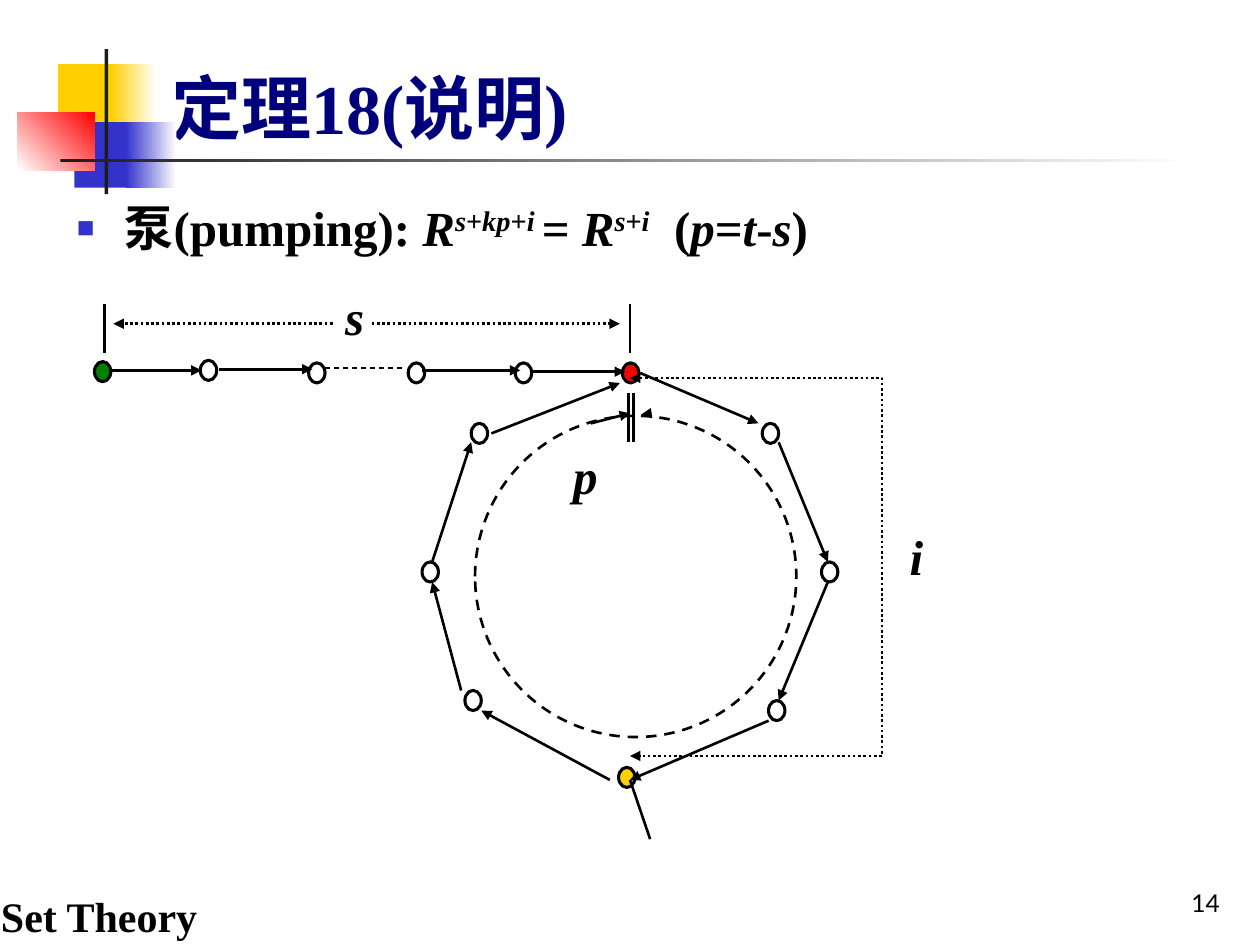
import lxml.etree
import pptx
import pptx.dml.color
import pptx.enum.dml
import pptx.enum.shapes
import pptx.enum.text
import pptx.oxml.ns
import pptx.util

Inches, Pt = pptx.util.Inches, pptx.util.Pt
MSO_SHAPE = pptx.enum.shapes.MSO_SHAPE
DASH = pptx.enum.dml.MSO_LINE
ANCHOR = pptx.enum.text.MSO_ANCHOR
ALIGN = pptx.enum.text.PP_ALIGN

COLORS = {"black": "000000", "white": "FFFFFF", "dark": "1C1C1C", "navy": "00007D",
          "blue": "3333CC", "yellow": "FFCF01", "red": "FF0000", "green": "008000"}
SERIF = "Times New Roman"
NODE_W, NODE_H = 0.13, 0.16


def rgb(name):
    return pptx.dml.color.RGBColor.from_string(COLORS[name])


def sub(parent, tag, **attrs):
    return lxml.etree.SubElement(parent, pptx.oxml.ns.qn(tag), attrs)


def style_line(sp, width, dash=None, head=False, tail=False):
    sp.line.color.rgb = rgb("black")
    sp.line.width = Pt(width)
    if dash:
        sp.line.dash_style = dash
    ln = sp._element.spPr.find(pptx.oxml.ns.qn("a:ln"))
    if head:
        sub(ln, "a:headEnd", type="triangle")
    if tail:
        sub(ln, "a:tailEnd", type="triangle")


def style_run(r, size, color="black", font=SERIF, bold=True, italic=False):
    f = r.font
    f.size, f.name, f.bold, f.italic = Pt(size), font, bold, italic
    f.color.rgb = rgb(color)


def place(sp, *box):
    sp.left, sp.top, sp.width, sp.height = map(Inches, box)


def add_block(s, box, color, end=None, angle=0):
    """Borderless rectangle, plain or fading from color to end."""
    sp = s.shapes.add_shape(MSO_SHAPE.RECTANGLE, *map(Inches, box))
    sp.shadow.inherit = False
    sp.line.fill.background()
    if end:
        sp.fill.gradient()
        sp.fill.gradient_angle = angle
        for stop, name in zip(sp.fill.gradient_stops, (color, end)):
            stop.color.rgb = rgb(name)
    else:
        sp.fill.solid()
        sp.fill.fore_color.rgb = rgb(color)


def add_ellipse(s, box, fill=None, width=1.75, dash=None):
    sp = s.shapes.add_shape(MSO_SHAPE.OVAL, *map(Inches, box))
    sp.shadow.inherit = False
    if fill:
        sp.fill.solid()
        sp.fill.fore_color.rgb = rgb(fill)
    else:
        sp.fill.background()
    style_line(sp, width, dash)


def add_line(s, x1, y1, x2, y2, width=1.5, dash=None, arrow=False):
    kind = pptx.enum.shapes.MSO_CONNECTOR.STRAIGHT
    sp = s.shapes.add_connector(kind, *map(Inches, (x1, y1, x2, y2)))
    style_line(sp, width, dash, tail=arrow)
    sub(sp._element.spPr, "a:effectLst")


def add_text(s, box, text, size, before=0, spacing=1.1, align=ALIGN.LEFT,
             anchor=ANCHOR.TOP, **font):
    tf = s.shapes.add_textbox(*map(Inches, box)).text_frame
    tf.word_wrap = True
    tf.vertical_anchor = anchor
    p = tf.paragraphs[0]
    p.text = text
    p.alignment, p.line_spacing, p.space_before = align, spacing, Pt(before)
    style_run(p.runs[0], size, **font)


def add_curve(s, points, steps=6):
    """Smooth dotted curve through the points, with an arrowhead at each end."""
    padded = [points[0], *points, points[-1]]
    outline = []
    for a, b, c, d in zip(padded, padded[1:], padded[2:], padded[3:]):
        for t in (k / steps for k in range(1, steps + 1)):
            outline.append(tuple(
                (2 * q + (r - p) * t + (2 * p - 5 * q + 4 * r - u) * t ** 2
                 + (3 * q - p - 3 * r + u) * t ** 3) / 2
                for p, q, r, u in zip(a, b, c, d)))
    builder = s.shapes.build_freeform(*points[0], scale=Inches(1))
    builder.add_line_segments(outline, close=False)
    sp = builder.convert_to_shape()
    sp.shadow.inherit = False
    sp.fill.background()
    style_line(sp, 1.5, DASH.ROUND_DOT, head=True, tail=True)


def add_decoration(s):
    add_block(s, (0.46, 0.51, 0.48, 0.52), "yellow")
    add_block(s, (0.88, 0.51, 0.36, 0.52), "yellow", "white")
    add_block(s, (0.59, 0.97, 0.46, 0.52), "blue")
    add_block(s, (1, 0.97, 0.4, 0.52), "blue", "white")
    add_block(s, (0.14, 0.89, 0.61, 0.46), "white", "red", angle=45)
    add_block(s, (0.83, 0.39, 0.03, 1.15), "dark")
    add_block(s, (0.48, 1.26, 9, 0.03), "dark", "white")


def fill_title(sp):
    place(sp, 1.26, 0.39, 8.52, 0.84)
    tf = sp.text_frame
    tf.text = "定理18(说明)"
    tf.auto_size = pptx.enum.text.MSO_AUTO_SIZE.NONE
    tf.vertical_anchor = ANCHOR.BOTTOM
    p = tf.paragraphs[0]
    p.alignment = ALIGN.LEFT
    style_run(p.runs[0], 40, "navy")


def fill_body(sp):
    place(sp, 0.51, 1.47, 9.13, 5.12)
    tf = sp.text_frame
    tf.auto_size = pptx.enum.text.MSO_AUTO_SIZE.NONE
    p = tf.paragraphs[0]
    p.line_spacing, p.space_before = 1.1, Pt(7)
    # Square bullet with a hanging indent
    pPr = p._p.get_or_add_pPr()
    pPr.set("marL", str(Inches(0.38)))
    pPr.set("indent", str(Inches(-0.38)))
    sub(sub(pPr, "a:buClr"), "a:srgbClr", val=COLORS["blue"])
    sub(pPr, "a:buSzPct", val="60000")
    sub(pPr, "a:buFont", typeface="Arial")
    sub(pPr, "a:buChar", char="■")
    # Formula: text and its marks, i for italic and ^ for superscript
    for text, marks in [("泵(pumping): ", ""), ("R", "i"), ("s", "i^"), ("+", "^"),
                        ("kp", "i^"), ("+", "^"), ("i ", "i^"), ("= ", ""),
                        ("R", "i"), ("s", "i^"), ("+", "^"), ("i", "i^"),
                        ("  (", ""), ("p", "i"), ("=", ""), ("t", "i"),
                        ("-", ""), ("s", "i"), (")", "")]:
        r = p.add_run()
        r.text = text
        style_run(r, 28, italic="i" in marks)
        if "^" in marks:
            r._r.get_or_add_rPr().set("baseline", "30000")


def add_nodes(s):
    chain = [(0.75, 2.87, "green"), (1.59, 2.86), (2.45, 2.88), (3.24, 2.88),
             (4.09, 2.88), (4.94, 2.88, "red")]
    cycle = [(6.05, 3.36), (6.52, 4.46), (6.1, 5.56), (4.91, 6.09, "yellow"),
             (3.69, 5.48), (3.35, 4.46), (3.74, 3.36)]
    for x, y, *fill in chain + cycle:
        add_ellipse(s, (x, y, NODE_W, NODE_H), *fill)
    add_ellipse(s, (3.77, 3.3, 2.55, 2.55), width=1.5, dash=DASH.DASH)


def add_lines(s):
    # Chain
    add_line(s, 0.89, 2.94, 1.6, 2.94, arrow=True)
    for x1, x2, y in [(1.74, 2.48, 2.93), (3.35, 4.13, 2.94), (4.21, 4.96, 2.95)]:
        add_line(s, x1, y, x2, y, 1.75, arrow=True)
    add_line(s, 2.58, 2.92, 3.19, 2.92, 0.75, DASH.DASH)
    # Cycle, clockwise, then the two heads of the inner ring
    for ends in [(5.08, 2.96, 6.02, 3.36), (6.18, 3.51, 6.57, 4.46),
                 (6.57, 4.62, 6.18, 5.56), (6.1, 5.72, 5, 6.19),
                 (4.84, 6.19, 3.82, 5.64), (3.66, 5.48, 3.43, 4.62),
                 (3.43, 4.46, 3.74, 3.51), (3.9, 3.44, 4.92, 3.04),
                 (5.16, 3.28, 5.09, 3.29), (4.69, 3.36, 5, 3.28)]:
        add_line(s, *ends, arrow=True)
    # Length s and the end marks
    for x1, x2 in [(2.64, 0.9), (2.95, 4.92)]:
        add_line(s, x1, 2.57, x2, 2.57, dash=DASH.ROUND_DOT, arrow=True)
    for x, top in [(0.83, 2.41), (5, 2.41), (4.99, 3.12), (5.03, 3.12)]:
        add_line(s, x, top, x, top + 0.39)
    add_line(s, 5.16, 6.66, 5, 6.19)
    # Length i
    add_curve(s, [(5, 2.58), (5.16, 2.58), (5.42, 2.6), (5.71, 2.68), (5.98, 2.81),
                  (6.31, 3.05), (6.6, 3.3), (6.79, 3.54), (6.93, 3.88), (7.03, 4.23),
                  (7.05, 4.68), (7.01, 5.03), (6.81, 5.48), (6.62, 5.77),
                  (6.34, 6.01), (5.97, 6.23), (5.49, 6.42), (5.08, 6.48)])


def main():
    prs = pptx.Presentation()
    prs.slide_width, prs.slide_height = Inches(10), Inches(7.5)
    s = prs.slides.add_slide(prs.slide_layouts[1])
    add_decoration(s)
    # Footer and page number
    add_text(s, (-0.09, 6.98, 1.86, 0.54), "Set Theory", 24, before=6)
    add_text(s, (7.7, 6.83, 2.08, 0.5), "14", 14, spacing=1, align=ALIGN.RIGHT,
             anchor=ANCHOR.BOTTOM, font="Lato", bold=False)
    fill_title(s.shapes.title)
    fill_body(s.placeholders[1])
    # Diagram
    add_nodes(s)
    add_lines(s)
    for text, x, y, w, before in [("i", 7.12, 4.08, 0.48, 17.5),
                                  ("s", 2.64, 2.18, 0.48, 17.5),
                                  ("p", 4.45, 3.44, 1.14, 7)]:
        add_text(s, (x, y, w, 0.62), text, 28, before=before, italic=True)
    prs.save("out.pptx")


if __name__ == "__main__":
    main()
